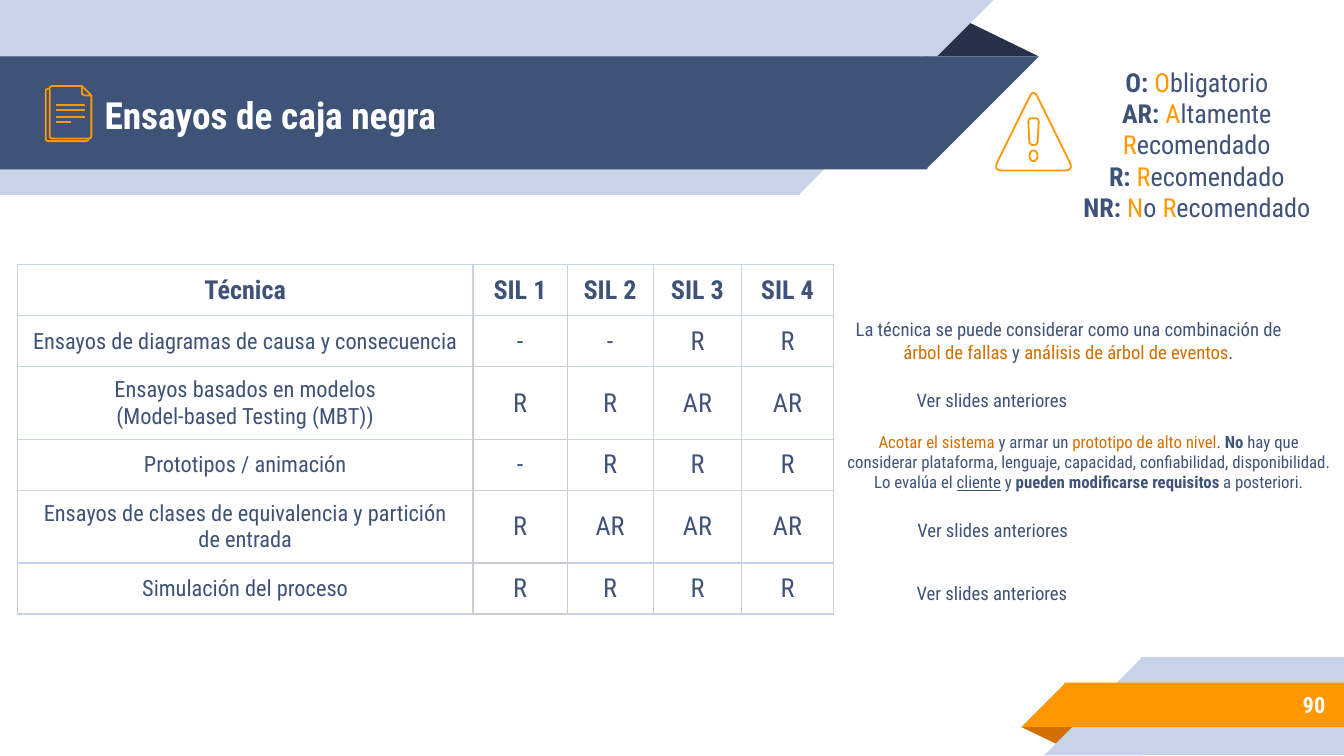
import math

import pptx
import pptx.dml.color
import pptx.enum.shapes
import pptx.enum.text
import pptx.oxml
import pptx.oxml.ns
import pptx.util

Inches = pptx.util.Inches
Pt = pptx.util.Pt
SHAPE = pptx.enum.shapes.MSO_SHAPE
ALIGN = pptx.enum.text.PP_ALIGN
MIDDLE = pptx.enum.text.MSO_ANCHOR.MIDDLE

FONT = "Roboto Condensed"
NAVY, DARK_NAVY, PALE = "3F5378", "263248", "C7D3E6"
ORANGE, DARK_ORANGE = "FF9800", "D26F00"
WHITE, GREY = "FFFFFF", "CCCCCC"

SLIDE_WIDTH = 10
SLIDE_HEIGHT = SLIDE_WIDTH * 9 / 16
SEAM = 0.01

COLUMN_WIDTHS = [3.39, 0.7, 0.64, 0.66, 0.68]
ROW_HEIGHT = 0.38
TABLE_ROWS = [
    ["Técnica", "SIL 1", "SIL 2", "SIL 3", "SIL 4"],
    ["Ensayos de diagramas de causa y consecuencia", "-", "-", "R", "R"],
    ["Ensayos basados en modelos\n(Model-based Testing (MBT))", "R", "R", "AR", "AR"],
    ["Prototipos / animación", "-", "R", "R", "R"],
    ["Ensayos de clases de equivalencia y partición de entrada", "R", "AR", "AR", "AR"],
    ["Simulación del proceso", "R", "R", "R", "R"],
]
GREY_SIDES = {0: "LR", 1: "LRTB", 2: "L"}

BOLD, ACCENT, DEEP_ACCENT = {"bold": True}, {"color": ORANGE}, {"color": DARK_ORANGE}
LEGEND = [
    [("O: ", BOLD), ("O", ACCENT), "bligatorio"],
    [("AR: ", BOLD), ("A", ACCENT), "ltamente ", ("R", ACCENT), "ecomendado"],
    [("R: ", BOLD), ("R", ACCENT), "ecomendado"],
    [("NR: ", BOLD), ("N", ACCENT), "o ", ("R", ACCENT), "ecomendado"],
]
CAUSE_NOTE = [[
    "La técnica se puede considerar como una combinación de ",
    ("árbol de fallas", DEEP_ACCENT), " y ",
    ("análisis de árbol de eventos", DEEP_ACCENT), ".",
]]
PROTOTYPE_NOTE = [[
    ("Acotar el sistema", DEEP_ACCENT), " y armar un ",
    ("prototipo de alto nivel", DEEP_ACCENT), ". ", ("No", BOLD),
    " hay que considerar plataforma, lenguaje, capacidad, confiabilidad, "
    "disponibilidad. Lo evalúa el ",
    ("cliente", {"underline": True}), " y ",
    ("pueden modificarse requisitos", BOLD), " a posteriori.",
]]
PREVIOUS_NOTE = [["Ver slides anteriores"]]


def rgb(color):
    return pptx.dml.color.RGBColor.from_string(color)


def write_text(frame, paragraphs, size=10, color=NAVY, bold=False, align=ALIGN.CENTER):
    """Each paragraph is a list of plain strings or (string, format) pairs."""
    for index, pieces in enumerate(paragraphs):
        paragraph = frame.paragraphs[0] if index == 0 else frame.add_paragraph()
        paragraph.alignment = align
        for piece in pieces:
            text, changes = (piece, {}) if isinstance(piece, str) else piece
            run = paragraph.add_run()
            run.text = text
            run.font.name = FONT
            run.font.size = Pt(size)
            run.font.bold = changes.get("bold", bold)
            run.font.underline = changes.get("underline")
            run.font.color.rgb = rgb(changes.get("color", color))


def add_text(slide, box, paragraphs, **text_format):
    frame = slide.shapes.add_textbox(*map(Inches, box)).text_frame
    frame.word_wrap = True
    frame.vertical_anchor = MIDDLE
    frame.margin_left = frame.margin_right = Inches(0.1)
    frame.margin_top = frame.margin_bottom = Inches(0.1)
    write_text(frame, paragraphs, **text_format)


def add_solid(slide, kind, box, color, rotation=0, flip=False):
    shape = slide.shapes.add_shape(kind, *map(Inches, box))
    shape.shadow.inherit = False
    shape.fill.solid()
    shape.fill.fore_color.rgb = rgb(color)
    shape.line.fill.background()
    shape.rotation = rotation
    if flip:
        shape._element.spPr.get_or_add_xfrm().set("flipH", "1")
    return shape


def add_fold(slide, box, color, rotation=0):
    add_solid(slide, SHAPE.ISOSCELES_TRIANGLE, box, color, rotation).adjustments[0] = 0.324


def add_header_band(slide, top, width, height, color):
    """Band from the left edge whose right end slants at 45 degrees."""
    add_solid(slide, SHAPE.RECTANGLE, (0, top, width + SEAM, height), color, 180, True)
    add_solid(slide, SHAPE.RIGHT_TRIANGLE, (width, top, height, height), color, 180, True)


def add_footer_band(slide, left, top, height, color):
    """Band up to the right edge whose left end slants at 45 degrees."""
    start = left + height - SEAM
    add_solid(slide, SHAPE.RECTANGLE, (start, top, SLIDE_WIDTH - start, height),
              color, flip=True)
    add_solid(slide, SHAPE.RIGHT_TRIANGLE, (left, top, height, height), color, flip=True)


def rounded(points, radius, closed=True, steps=5):
    """Replace each corner with a short quadratic curve."""
    outline = []
    for index, corner in enumerate(points):
        if not closed and index in (0, len(points) - 1):
            outline.append(corner)
            continue
        start, end = [
            [c + (n - c) * radius / math.dist(corner, neighbour)
             for c, n in zip(corner, neighbour)]
            for neighbour in (points[index - 1], points[(index + 1) % len(points)])
        ]
        for step in range(steps + 1):
            t = step / steps
            outline.append([(1 - t) ** 2 * s + 2 * t * (1 - t) * c + t ** 2 * e
                            for s, c, e in zip(start, corner, end)])
    return outline


def add_outline(slide, origin, contours, closed=True):
    placed = [[(Inches(origin[0] + x), Inches(origin[1] + y)) for x, y in contour]
              for contour in contours]
    builder = slide.shapes.build_freeform(*placed[0][0])
    for index, contour in enumerate(placed):
        if index:
            builder.move_to(*contour[0])
        builder.add_line_segments(contour[1:], close=closed)
    shape = builder.convert_to_shape()
    shape.shadow.inherit = False
    shape.fill.background()
    shape.line.color.rgb = rgb(ORANGE)
    shape.line.width = Pt(0.96)


def add_document_icon(slide, left, top):
    origin = left, top
    back = [(0.32, 0.39), (0.32, 0.41), (0, 0.41), (0, 0.02), (0.03, 0.02)]
    front = [(0.34, 0.07), (0.34, 0.39), (0.03, 0.39), (0.03, 0), (0.27, 0)]
    for sheet in (back, front):
        add_outline(slide, origin, [rounded(sheet, 0.02, closed=False)], closed=False)
    for y, width in ((0.27, 0.11), (0.23, 0.21), (0.18, 0.21), (0.14, 0.21)):
        add_outline(slide, origin, [[(0.08 + width, y), (0.08, y)]], closed=False)
    add_outline(slide, origin, [[(0.27, 0), (0.34, 0.07), (0.29, 0.07), (0.27, 0.06)]])


def add_warning_icon(slide, left, top):
    triangle = rounded([(0.28, -0.04), (0.58, 0.57), (-0.02, 0.57)], 0.07)
    stem = rounded([(0.24, 0.18), (0.32, 0.18), (0.31, 0.38), (0.25, 0.38)], 0.03)
    angles = [math.radians(angle) for angle in range(0, 360, 20)]
    dot = [(0.28 + 0.03 * math.cos(a), 0.46 + 0.04 * math.sin(a)) for a in angles]
    add_outline(slide, (left, top), [triangle, dot, stem])


def add_header(slide):
    add_fold(slide, (6.88, 0.14, 0.85, 0.28), DARK_NAVY)
    add_header_band(slide, 0, 5.94, 1.45, PALE)
    add_header_band(slide, 0.42, 6.89, 0.84, NAVY)
    add_text(slide, (0.68, 0.43, 6.43, 0.84), [["Ensayos de caja negra"]],
             size=20, color=WHITE, bold=True, align=ALIGN.LEFT)
    add_document_icon(slide, 0.34, 0.64)


def add_footer(slide):
    add_fold(slide, (7.6, 5.41, 0.43, 0.14), DARK_ORANGE, 180)
    add_footer_band(slide, 7.77, 4.89, 0.73, PALE)
    add_footer_band(slide, 7.6, 5.08, 0.33, ORANGE)
    add_text(slide, (8.33, 5.07, 1.63, 0.35), [["90"]],
             size=12, color=WHITE, bold=True, align=ALIGN.RIGHT)


def add_border(cell, side, color):
    cell._tc.get_or_add_tcPr().append(pptx.oxml.parse_xml(
        f'<a:ln{side} {pptx.oxml.ns.nsdecls("a")} w="{Pt(0.75)}"><a:solidFill>'
        f'<a:srgbClr val="{color}"/></a:solidFill></a:ln{side}>'))


def add_technique_table(slide, left, top):
    size = sum(COLUMN_WIDTHS), ROW_HEIGHT * len(TABLE_ROWS)
    table = slide.shapes.add_table(len(TABLE_ROWS), len(COLUMN_WIDTHS),
                                   *map(Inches, (left, top, *size))).table
    table.first_row = table.horz_banding = False
    for column, width in zip(table.columns, COLUMN_WIDTHS):
        column.width = Inches(width)
    for row, texts in enumerate(TABLE_ROWS):
        table.rows[row].height = Inches(ROW_HEIGHT)
        for column, text in enumerate(texts):
            cell = table.cell(row, column)
            cell.vertical_anchor = MIDDLE
            cell.margin_left = cell.margin_right = Inches(0.1)
            cell.margin_top = cell.margin_bottom = Inches(0.07)
            grey_sides = GREY_SIDES.get(column, "") if row else ""
            for side in "LRTB":
                grey = side in grey_sides and (row, side) != (1, "T")
                add_border(cell, side, GREY if grey else PALE)
            cell.fill.solid()
            cell.fill.fore_color.rgb = rgb(WHITE)
            write_text(cell.text_frame, [[line] for line in text.split("\n")],
                       size=12 if row and column == 0 else 14, bold=row == 0)


def add_notes_column(slide):
    add_text(slide, (6.2, 2.25, 3.5, 0.57), CAUSE_NOTE)
    add_text(slide, (6.62, 2.75, 1.52, 0.45), PREVIOUS_NOTE)
    add_text(slide, (6.2, 3.21, 3.8, 0.45), PROTOTYPE_NOTE, size=9)
    add_text(slide, (6.57, 3.72, 1.63, 0.45), PREVIOUS_NOTE)
    add_text(slide, (6.62, 4.24, 1.52, 0.35), PREVIOUS_NOTE)


def main():
    presentation = pptx.Presentation()
    presentation.slide_width = Inches(SLIDE_WIDTH)
    presentation.slide_height = Inches(SLIDE_HEIGHT)
    slide = presentation.slides.add_slide(presentation.slide_layouts[6])
    add_header(slide)
    add_footer(slide)
    add_warning_icon(slide, 7.41, 0.7)
    add_text(slide, (7.81, 0.44, 2.19, 1.27), LEGEND, size=14)
    add_technique_table(slide, 0.13, 1.97)
    add_notes_column(slide)
    presentation.save("out.pptx")


if __name__ == "__main__":
    main()
